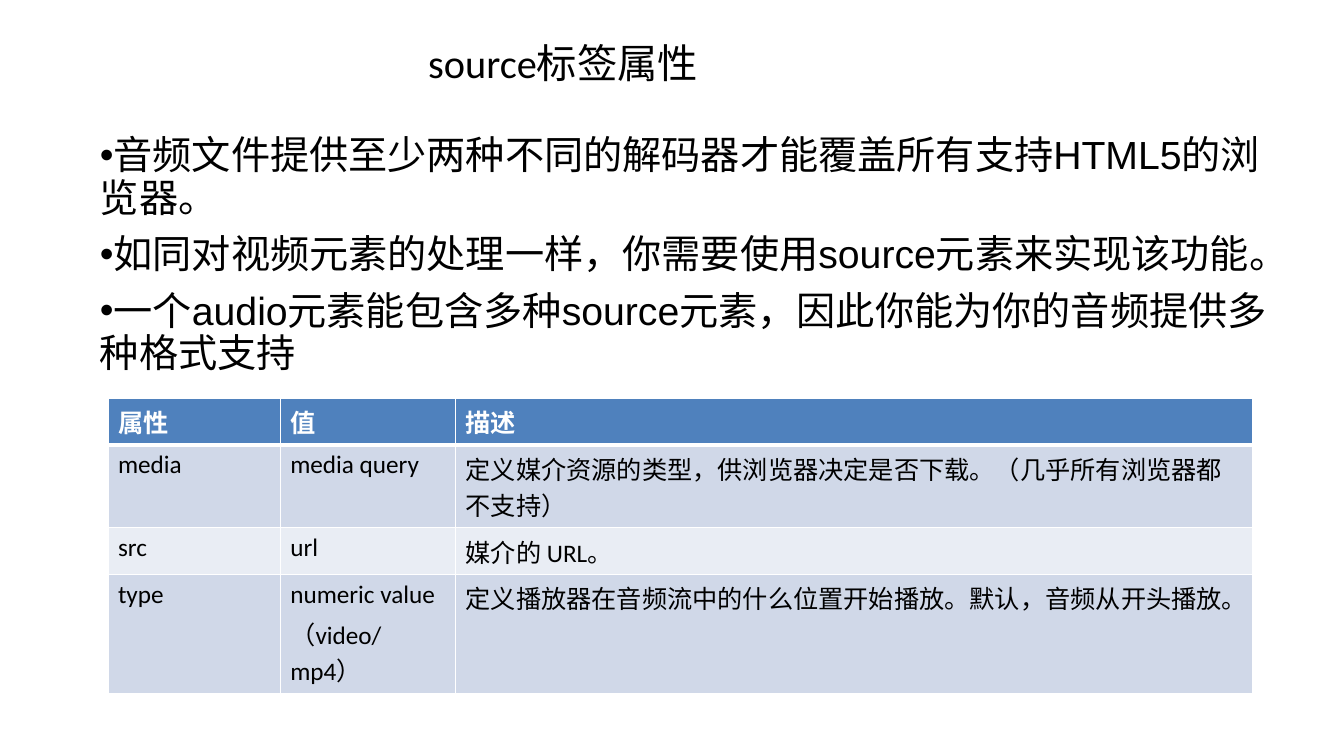
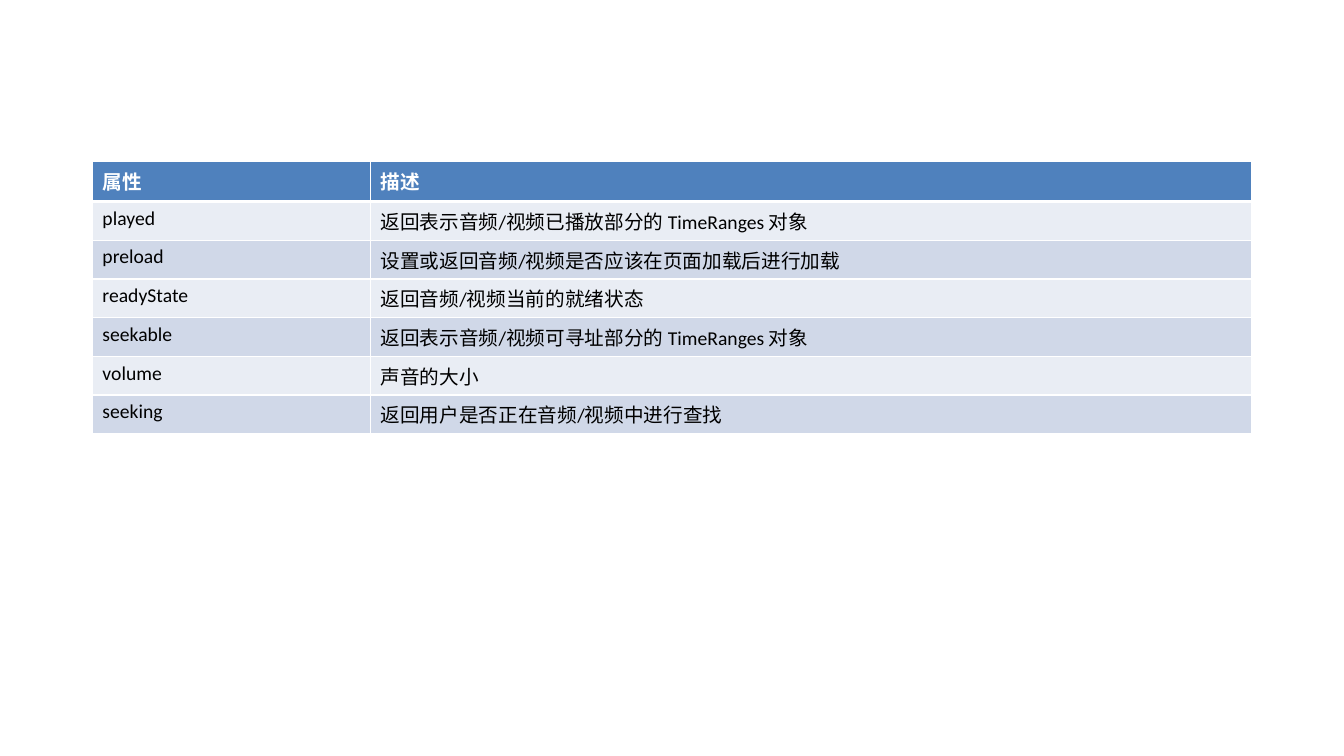
import itertools

import pptx
import pptx.dml.color
import pptx.enum.text
import pptx.oxml
import pptx.oxml.ns
import pptx.util

BLACK = pptx.dml.color.RGBColor(0x00, 0x00, 0x00)
WHITE = pptx.dml.color.RGBColor(0xFF, 0xFF, 0xFF)
HEADER_BLUE = pptx.dml.color.RGBColor(0x4F, 0x81, 0xBD)
BAND_DARK = pptx.dml.color.RGBColor(0xD0, 0xD8, 0xE8)
BAND_LIGHT = pptx.dml.color.RGBColor(0xE9, 0xED, 0xF4)
COLUMNS, ROWS = 160, 90
TITLE_BOX = (11, 3.2, 136.4, 9.2)
BODY_BOX = (7.7, 15.6, 148.1, 73)
SOURCE_TABLE_BOX = (12.85, 47.4, 136.3, 27.2)
HEADER_BOX = (11, 19.2, 138, 4.8)
PROPERTY_TABLE_BOX = (11, 24, 138, 24.2)
PROPERTY_WIDTHS = (2.76, 8.74)

deck = pptx.Presentation()
deck.slide_width = pptx.util.Inches(13.33)
deck.slide_height = pptx.util.Inches(7.5)


def place(box):
    """Turn a box in grid columns and rows into slide lengths."""
    column, row = deck.slide_width / COLUMNS, deck.slide_height / ROWS
    return [round(n * unit) for n, unit in zip(box, (column, row, column, row))]


def move(shape, box):
    """Put a placeholder into a box and stop it from resizing its text."""
    shape.left, shape.top, shape.width, shape.height = place(box)
    shape.text_frame.word_wrap = True
    shape.text_frame.auto_size = pptx.enum.text.MSO_AUTO_SIZE.NONE


def format_runs(para, font, size, color, bold=False):
    """Format all runs of a paragraph alike."""
    for span in para.runs:
        span.font.name, span.font.size = font, pptx.util.Pt(size)
        span.font.color.rgb, span.font.bold = color, bold


def format_text(para, font, size, indent):
    """Give a placeholder paragraph its left indent, spacing and font."""
    para.alignment = pptx.enum.text.PP_ALIGN.LEFT
    para.line_spacing = 0.9
    properties = para._p.get_or_add_pPr()
    properties.set("marL", str(pptx.util.Inches(indent)))
    properties.set("indent", "0")
    format_runs(para, font, size, BLACK)


def add_title(page, box, text):
    """Fill the title placeholder."""
    title = page.shapes.title
    move(title, box)
    title.text_frame.text = text
    title.text_frame.vertical_anchor = pptx.enum.text.MSO_ANCHOR.MIDDLE
    format_text(title.text_frame.paragraphs[0], "Calibri", 28.8, 3.23)


def add_list(page, box, items):
    """Fill the body placeholder with bulleted paragraphs."""
    body = page.placeholders[1]
    move(body, box)
    body.text_frame.text = "\n".join(items)
    for para in body.text_frame.paragraphs:
        format_text(para, "Arial", 28, 0.25)
        para.space_before = pptx.util.Pt(10)


def add_border(cell, side, width):
    """Draw one white cell border."""
    cell._tc.get_or_add_tcPr().append(pptx.oxml.parse_xml(
        f'<a:ln{side} {pptx.oxml.ns.nsdecls("a")} w="{pptx.util.Pt(width)}">'
        f'<a:solidFill><a:srgbClr val="{WHITE}"/></a:solidFill></a:ln{side}>'))


def fill_cell(cell, text, size, fill, top, bottom, header):
    """Write and style one table cell."""
    for side, width in (("L", 1), ("R", 1), ("T", top), ("B", bottom)):
        add_border(cell, side, width)
    cell.fill.solid()
    cell.fill.fore_color.rgb = fill
    cell.text_frame.text = text
    for para in cell.text_frame.paragraphs:
        para._p.get_or_add_pPr().append(pptx.oxml.parse_xml(
            f'<a:spcBef {pptx.oxml.ns.nsdecls("a")}><a:spcPct val="20000"/></a:spcBef>'))
        format_runs(para, "Calibri", size, WHITE if header else BLACK, header)


def add_grid(page, box, widths, heights, rows, size, bands, header=False):
    """Add a table whose columns and rows share the box by weight."""
    left, top, width, height = place(box)
    table = page.shapes.add_table(
        len(rows), len(widths), left, top, width, height).table
    table.first_row = header
    table.horz_banding = False
    for column, weight in zip(table.columns, widths):
        column.width = round(width * weight / sum(widths))
    for row, weight in zip(table.rows, heights):
        row.height = round(height * weight / sum(heights))
    fills = itertools.cycle(bands)
    for index, texts in enumerate(rows):
        is_header = header and index == 0
        fill = HEADER_BLUE if is_header else next(fills)
        upper = 3 if header and index == 1 else 1
        lower = 3 if is_header else 1
        for column, text in enumerate(texts):
            fill_cell(table.cell(index, column), text, size, fill,
                      upper, lower, is_header)


def build_source_page():
    """Build the slide about the attributes of the source tag."""
    page = deck.slides.add_slide(deck.slide_layouts[1])
    add_title(page, TITLE_BOX, "source标签属性")
    add_list(page, BODY_BOX, [
        "音频文件提供至少两种不同的解码器才能覆盖所有支持HTML5的浏览器。",
        "如同对视频元素的处理一样，你需要使用source元素来实现该功能。",
        "一个audio元素能包含多种source元素，因此你能为你的音频提供多种格式支持",
    ])
    add_grid(page, SOURCE_TABLE_BOX, (1.71, 1.74, 7.91), (0.41, 0.72, 0.41, 0.72), [
        ("属性", "值", "描述"),
        ("media", "media query",
         "定义媒介资源的类型，供浏览器决定是否下载。（几乎所有浏览器都不支持）"),
        ("src", "url", "媒介的 URL。"),
        ("type", "numeric value\n（video/mp4）",
         "定义播放器在音频流中的什么位置开始播放。默认，音频从开头播放。"),
    ], 18, (BAND_DARK, BAND_LIGHT), header=True)


def build_property_page():
    """Build the slide that lists audio and video properties."""
    page = deck.slides.add_slide(deck.slide_layouts[6])
    properties = [
        ("played", "返回表示音频/视频已播放部分的 TimeRanges 对象"),
        ("preload", "设置或返回音频/视频是否应该在页面加载后进行加载"),
        ("readyState", "返回音频/视频当前的就绪状态"),
        ("seekable", "返回表示音频/视频可寻址部分的 TimeRanges 对象"),
        ("volume", "声音的大小"),
        ("seeking", "返回用户是否正在音频/视频中进行查找"),
    ]
    add_grid(page, PROPERTY_TABLE_BOX, PROPERTY_WIDTHS, [1] * len(properties),
             properties, 14, (BAND_LIGHT, BAND_DARK))
    add_grid(page, HEADER_BOX, PROPERTY_WIDTHS, [1], [("属性", "描述")],
             14, (HEADER_BLUE,), header=True)


build_source_page()
build_property_page()
deck.save("out.pptx")
